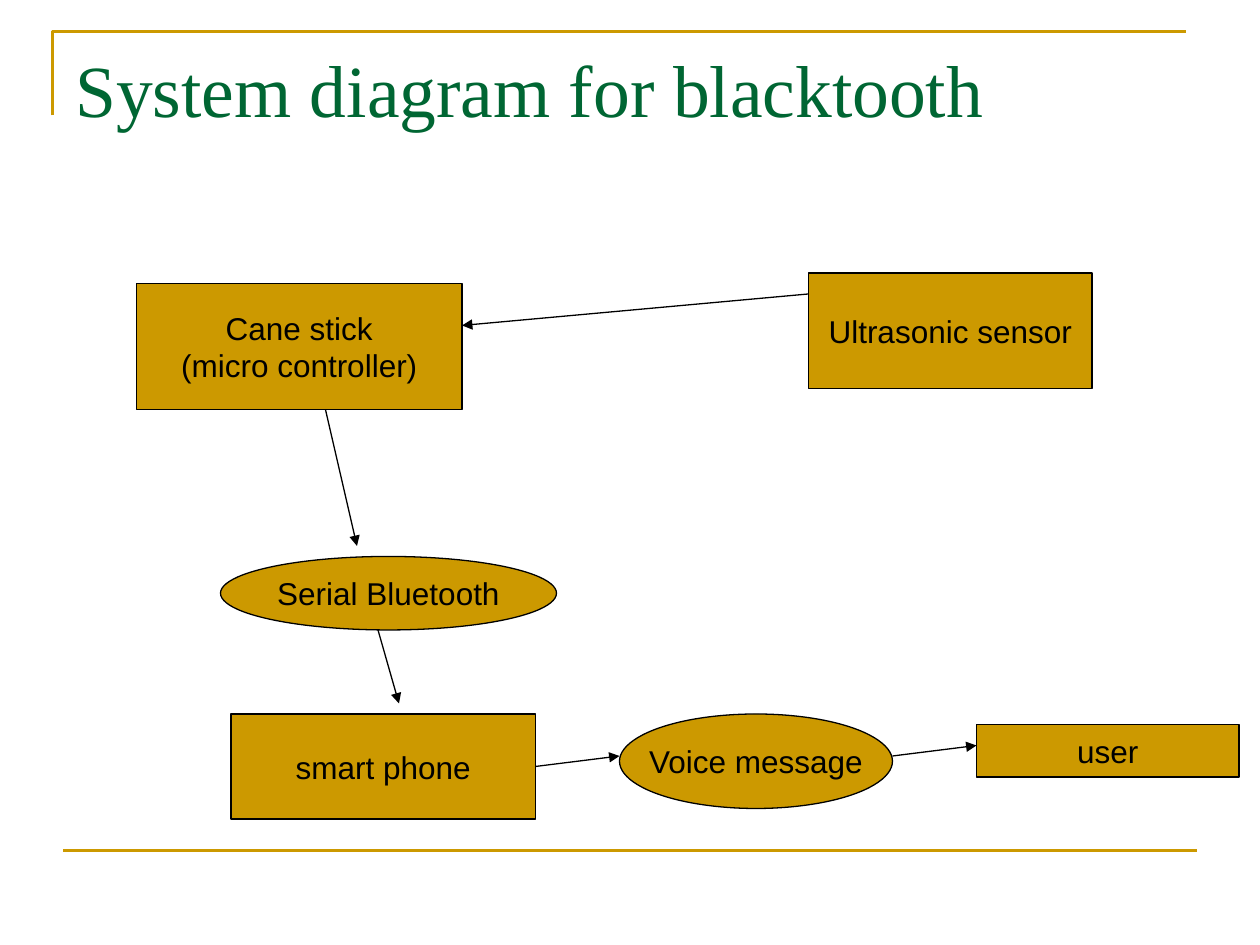
import pptx
import pptx.dml.color
import pptx.enum.shapes
import pptx.enum.text
import pptx.oxml
import pptx.oxml.ns
import pptx.util

PX = pptx.util.Inches(1) // 120
GOLD, GREEN, BLACK = "CC9900", "006633", "000000"
RECT = pptx.enum.shapes.MSO_SHAPE.RECTANGLE
OVAL = pptx.enum.shapes.MSO_SHAPE.OVAL
STEPS = {
    "Cane stick\n(micro controller)": (RECT, 0, 10, 310, 120),
    "Ultrasonic sensor": (RECT, 640, 0, 270, 110),
    "Serial Bluetooth": (OVAL, 80, 270, 320, 70),
    "smart phone": (RECT, 90, 420, 290, 100),
    "Voice message": (OVAL, 460, 420, 260, 90),
    "user": (RECT, 800, 430, 250, 50),
}
ARROWS = [
    (640, 20, 310, 50),
    (180, 130, 210, 260),
    (230, 340, 250, 410),
    (380, 470, 460, 460),
    (720, 460, 800, 450),
]


def px(*lengths):
    """Turn px lengths into EMU."""
    return [length * PX for length in lengths]


def color(hex_code):
    """Return the colour of a hex string."""
    return pptx.dml.color.RGBColor.from_string(hex_code)


def style_line(line, hex_code, width):
    """Set the colour and width in points of a line."""
    line.color.rgb = color(hex_code)
    line.width = pptx.util.Pt(width)


def style_text(frame, font_name, size, hex_code):
    """Format every run of a text frame."""
    for paragraph in frame.paragraphs:
        for run in paragraph.runs:
            run.font.name = font_name
            run.font.size = pptx.util.Pt(size)
            run.font.color.rgb = color(hex_code)


def add_line(slide, x1, y1, x2, y2, hex_code, width):
    """Add a straight connector without a shadow."""
    connector = slide.shapes.add_connector(
        pptx.enum.shapes.MSO_CONNECTOR.STRAIGHT, *px(x1, y1, x2, y2))
    style_line(connector.line, hex_code, width)
    properties = connector._element.spPr
    properties.append(pptx.oxml.parse_xml(
        f"<a:effectLst {pptx.oxml.ns.nsdecls('a')}/>"))
    return connector


def add_arrow(slide, x1, y1, x2, y2):
    """Add a thin line with a triangle at its end."""
    arrow = add_line(slide, x1, y1, x2, y2, BLACK, 0.75)
    arrow.line._get_or_add_ln().append(pptx.oxml.parse_xml(
        f'<a:tailEnd {pptx.oxml.ns.nsdecls("a")} type="triangle"/>'))
    return arrow


def add_step(slide, kind, label, left, top, width, height):
    """Add one labelled shape of the diagram."""
    step = slide.shapes.add_shape(kind, *px(left, top, width, height))
    step.shadow.inherit = False
    step.fill.solid()
    step.fill.fore_color.rgb = color(GOLD)
    style_line(step.line, BLACK, 0.75)
    frame = step.text_frame
    frame.text = label
    frame.word_wrap = False
    frame.vertical_anchor = pptx.enum.text.MSO_ANCHOR.MIDDLE
    for paragraph in frame.paragraphs:
        paragraph.alignment = pptx.enum.text.PP_ALIGN.CENTER
    style_text(frame, "Arial", 18, BLACK)
    return step


def add_frame(slide, left, top, width, height):
    """Draw the corner rule above and the straight rule below."""
    builder = slide.shapes.build_freeform(left, top + 80, scale=PX)
    builder.add_line_segments(
        [(left, top), (left + width, top)], close=False)
    corner = builder.convert_to_shape()
    corner.shadow.inherit = False
    corner.fill.background()
    style_line(corner.line, GOLD, 1.5)
    bottom = top + height
    add_line(slide, left + 10, bottom, left + 10 + width, bottom, GOLD, 1.5)


def add_title(slide, left, top, width, height):
    """Place the slide title."""
    title = slide.shapes.add_textbox(*px(left, top, width, height))
    frame = title.text_frame
    frame.word_wrap = True
    frame.text = "System diagram for blacktooth"
    style_text(frame, "Times New Roman", 42, GREEN)


def add_diagram(slide, left, top):
    """Place the steps and the arrows between them."""
    steps = {
        label: add_step(slide, kind, label, left + x, top + y, width, height)
        for label, (kind, x, y, width, height) in STEPS.items()
    }
    arrows = [
        add_arrow(slide, left + x1, top + y1, left + x2, top + y2)
        for x1, y1, x2, y2 in ARROWS
    ]
    arrows[3].begin_connect(steps["smart phone"], 3)


def main():
    """Build and save the slide."""
    deck = pptx.Presentation()
    deck.slide_width, deck.slide_height = px(1200, 900)
    slide = deck.slides.add_slide(deck.slide_layouts[6])
    add_frame(slide, 50, 30, 1080, 780)
    add_title(slide, 60, 36, 1080, 150)
    add_diagram(slide, 130, 260)
    deck.save("out.pptx")


if __name__ == "__main__":
    main()
